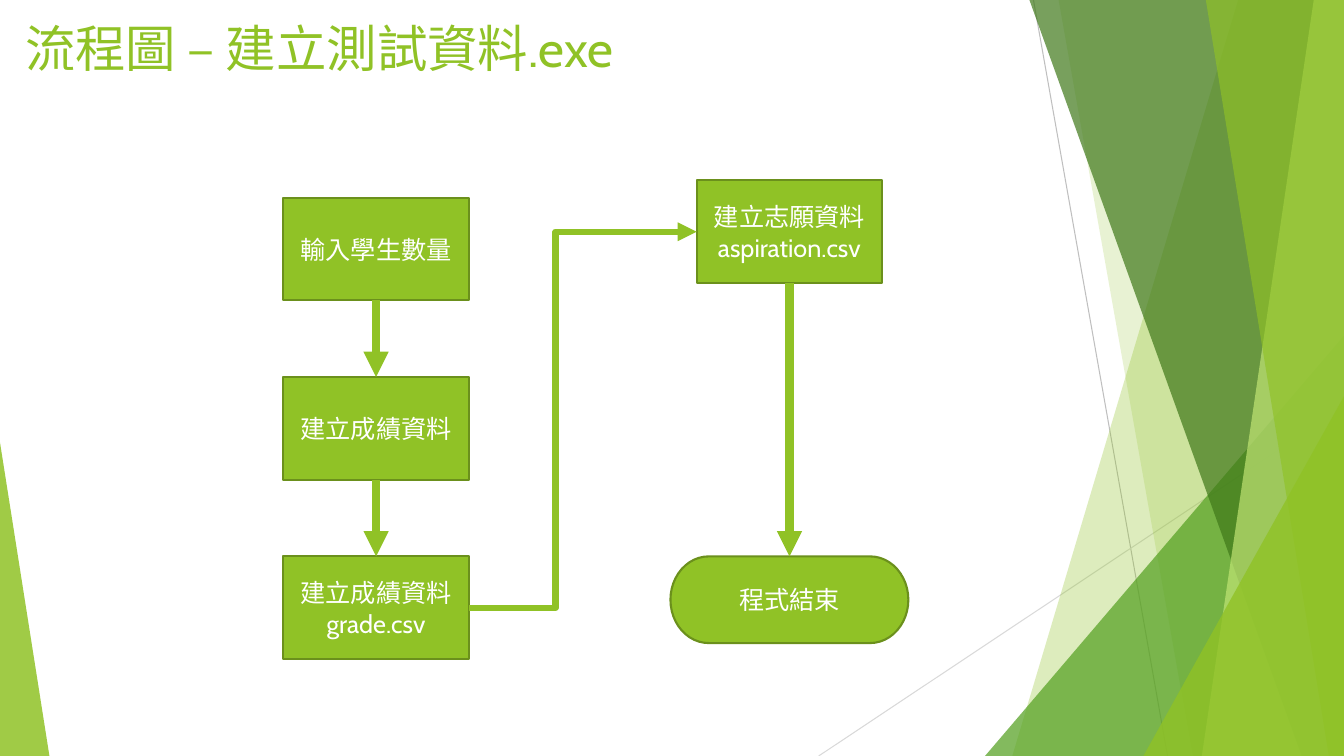
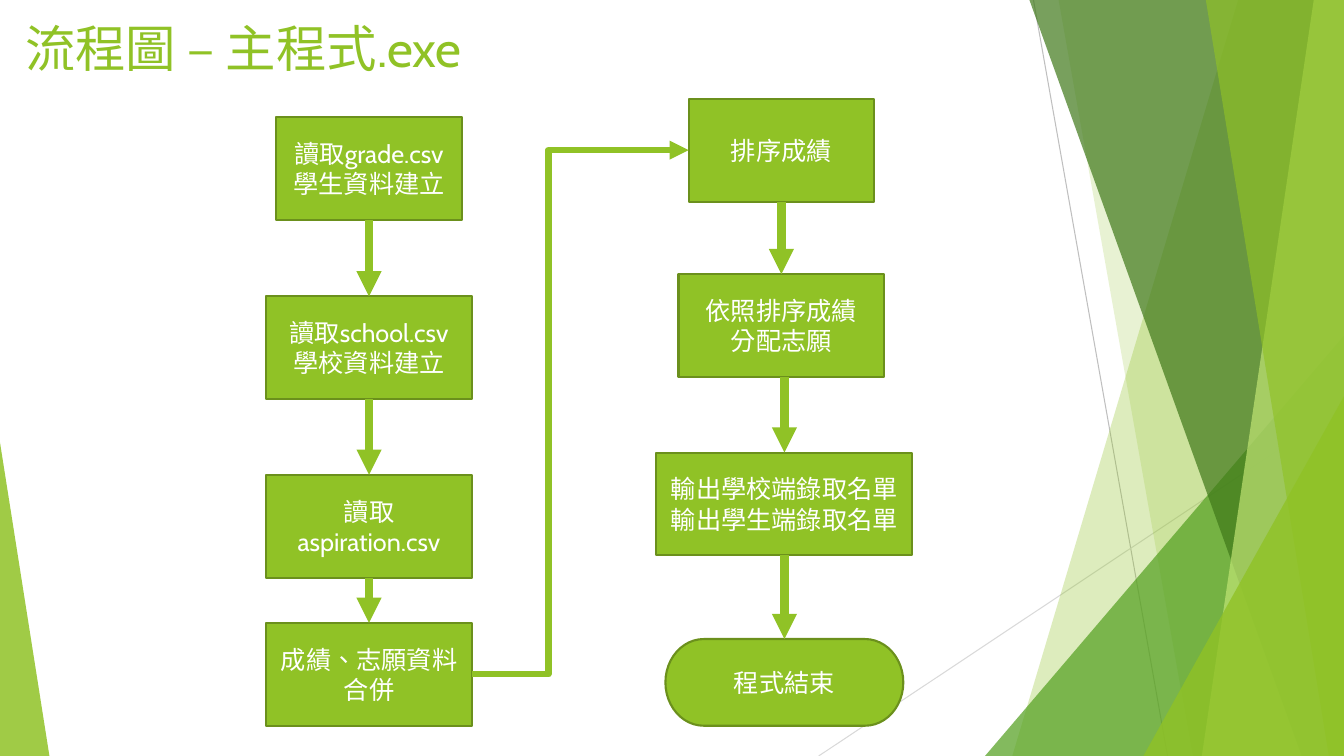
import dataclasses
import itertools
from typing import Any

import lxml.etree
import pptx
import pptx.dml.color
import pptx.enum.shapes
import pptx.enum.text
import pptx.oxml.ns
import pptx.util

PX = 9144  # EMU per px, 100 px to the inch
SLIDE_WIDTH, SLIDE_HEIGHT = 1333, 750
STEP_HEIGHT, END_HEIGHT = 102, 86
BOX_WIDTH, WIDE_BOX_WIDTH, END_WIDTH = 184, 204, 236
TOP, LEFT, BOTTOM, RIGHT = range(4)  # connection sites of a box

COLORS = {
    "green": "90C226", "outline": "6B901C", "leaf": "54A021", "forest": "3F7819",
    "lime": "C0E474", "white": "FFFFFF", "gray": "BFBFBF", "pale_gray": "D9D9D9",
}
LATIN_FONT, ASIAN_FONT = "Cabin", "Noto Sans CJK SC"

MsoShape = pptx.enum.shapes.MSO_SHAPE
MsoConnector = pptx.enum.shapes.MSO_CONNECTOR
TITLE_FRAME = {"word_wrap": True, "vertical_anchor": pptx.enum.text.MSO_ANCHOR.TOP}
STEP_FRAME = {"word_wrap": True, "vertical_anchor": pptx.enum.text.MSO_ANCHOR.MIDDLE}
TITLE_FONT = {"size": pptx.util.Pt(36), "name": LATIN_FONT}
STEP_FONT = {"size": pptx.util.Pt(18), "name": LATIN_FONT}


@dataclasses.dataclass(frozen=True)
class Facet:
    """A translucent four-sided band reaching the right edge."""
    top_x: int
    bottom_x: int
    color: str
    opacity: int


@dataclasses.dataclass(frozen=True)
class Corner:
    """A translucent triangle standing on the bottom edge."""
    left: int
    top: int
    width: int
    apex: int
    color: str
    opacity: int


@dataclasses.dataclass(frozen=True)
class Ray:
    start: tuple[int, int]
    end: tuple[int, int]
    color: str


@dataclasses.dataclass(frozen=True)
class Step:
    center: int
    top: int
    text: str
    width: int = BOX_WIDTH
    height: int = STEP_HEIGHT
    kind: Any = MsoShape.FLOWCHART_PROCESS


@dataclasses.dataclass(frozen=True)
class Flowchart:
    title: str
    columns: tuple[list[Step], list[Step]]
    trunk: int  # x of the upright line between the columns


RAYS = [
    Ray((1025, 0), (1158, 750), "gray"),
    Ray((1333, 403), (812, 750), "pale_gray"),
]
BACKDROP = [
    Facet(1228, 1004, "green", 30),
    Facet(1050, 1183, "green", 20),
    Corner(977, 333, 356, 1, "leaf", 72),
    Facet(1021, 1291, "forest", 70),
    Facet(1303, 1192, "lime", 70),
    Facet(1196, 1318, "green", 65),
    Corner(1134, 393, 199, 1, "green", 80),
    Corner(0, 439, 49, 0, "green", 85),
]


def end_step(center: int, top: int) -> Step:
    return Step(center, top, "程式結束", END_WIDTH, END_HEIGHT, MsoShape.FLOWCHART_TERMINATOR)


FLOWCHARTS = [
    Flowchart("流程圖 – 建立測試資料.exe", (
        [Step(373, 196 + 178 * row, text) for row, text in enumerate(
            ["輸入學生數量", "建立成績資料", "建立成績資料\ngrade.csv"])],
        [Step(783, 179, "建立志願資料\naspiration.csv"), end_step(783, 552)],
    ), 551),
    Flowchart("流程圖 – 主程式.exe", (
        [
            Step(366, 116, "讀取grade.csv\n學生資料建立"),
            Step(366, 294, "讀取school.csv\n學校資料建立", WIDE_BOX_WIDTH),
            Step(366, 471, "讀取aspiration.csv", WIDE_BOX_WIDTH),
            Step(366, 618, "成績、志願資料合併", WIDE_BOX_WIDTH),
        ],
        [
            Step(775, 98, "排序成績"),
            Step(775, 272, "依照排序成績\n分配志願", WIDE_BOX_WIDTH),
            Step(778, 449, "輸出學校端錄取名單\n輸出學生端錄取名單", 254),
            end_step(778, 634),
        ],
    ), 544),
]


def apply_format(target: Any, values: dict[str, Any]) -> None:
    for name, value in values.items():
        setattr(target, name, value)


def rgb(color: str) -> pptx.dml.color.RGBColor:
    return pptx.dml.color.RGBColor.from_string(COLORS[color])


def add_element(parent: Any, tag: str, **attributes: str) -> Any:
    return lxml.etree.SubElement(parent, pptx.oxml.ns.qn(tag), attributes)


def style_line(line: Any, color: str, points: float) -> None:
    line.color.rgb = rgb(color)
    line.width = pptx.util.Pt(points)


def write_text(shape: Any, text: str, frame: dict[str, Any], font: dict[str, Any],
               color: str, alignment: Any) -> None:
    text_frame = shape.text_frame
    apply_format(text_frame, frame)
    text_frame.text = text
    for paragraph in text_frame.paragraphs:
        paragraph.alignment = alignment
        for run in paragraph.runs:
            apply_format(run.font, font)
            run.font.color.rgb = rgb(color)
            properties = run._r.get_or_add_rPr()
            properties.set("lang", "zh-TW")
            add_element(properties, "a:ea", typeface=ASIAN_FONT)


def add_line(slide: Any, kind: Any, start: tuple[int, int], end: tuple[int, int],
             color: str, points: float, arrow: bool = False) -> Any:
    connector = slide.shapes.add_connector(kind, *(value * PX for value in start + end))
    style_line(connector.line, color, points)
    if arrow:
        add_element(connector.line._get_or_add_ln(), "a:tailEnd", type="triangle")
    add_element(connector._element.spPr, "a:effectLst")
    return connector


# Backdrop shared by the slides
def add_backdrop(slide: Any) -> None:
    for ray in RAYS:
        add_line(slide, MsoConnector.STRAIGHT, ray.start, ray.end, ray.color, 0.75)
    for part in BACKDROP:
        if isinstance(part, Facet):
            builder = slide.shapes.build_freeform(part.top_x, 0, scale=PX)
            builder.add_line_segments([
                (SLIDE_WIDTH, 0), (SLIDE_WIDTH, SLIDE_HEIGHT), (part.bottom_x, SLIDE_HEIGHT)])
            shape = builder.convert_to_shape()
        else:
            shape = slide.shapes.add_shape(
                MsoShape.ISOSCELES_TRIANGLE, part.left * PX, part.top * PX,
                part.width * PX, (SLIDE_HEIGHT - part.top) * PX)
            shape.adjustments[0] = part.apex
        shape.shadow.inherit = False
        shape.line.fill.background()
        shape.fill.solid()
        shape.fill.fore_color.rgb = rgb(part.color)
        color_element = shape._element.spPr.find(".//" + pptx.oxml.ns.qn("a:srgbClr"))
        add_element(color_element, "a:alpha", val=str(part.opacity * 1000))


def add_title(slide: Any, text: str) -> None:
    box = slide.shapes.add_textbox(15 * PX, 12 * PX, 940 * PX, 86 * PX)
    write_text(box, text, TITLE_FRAME, TITLE_FONT, "green", pptx.enum.text.PP_ALIGN.LEFT)


# Flowchart parts
def add_step(slide: Any, step: Step) -> Any:
    shape = slide.shapes.add_shape(
        step.kind, (step.center - step.width // 2) * PX, step.top * PX,
        step.width * PX, step.height * PX)
    shape.shadow.inherit = False
    shape.fill.solid()
    shape.fill.fore_color.rgb = rgb("green")
    style_line(shape.line, "outline", 1.5)
    write_text(shape, step.text, STEP_FRAME, STEP_FONT, "white", pptx.enum.text.PP_ALIGN.CENTER)
    return shape


def add_down_arrow(slide: Any, upper: Step, lower: Step, upper_box: Any, lower_box: Any) -> None:
    arrow = add_line(slide, MsoConnector.STRAIGHT, (lower.center, upper.top + upper.height),
                     (lower.center, lower.top), "green", 6, arrow=True)
    if upper.center == lower.center:
        arrow.begin_connect(upper_box, BOTTOM)
    arrow.end_connect(lower_box, TOP)


def add_column_link(slide: Any, last: Step, first: Step, last_box: Any, first_box: Any,
                    trunk: int) -> None:
    start = (last.center + last.width // 2, last.top + last.height // 2)
    end = (first.center - first.width // 2, first.top + first.height // 2)
    link = add_line(slide, MsoConnector.ELBOW, start, end, "green", 4.5, arrow=True)
    link.begin_connect(last_box, RIGHT)
    link.end_connect(first_box, LEFT)
    bend = round((trunk - start[0]) / (end[0] - start[0]) * 100000)
    geometry = link._element.spPr.find(pptx.oxml.ns.qn("a:prstGeom"))
    guides = geometry.find(pptx.oxml.ns.qn("a:avLst"))
    if guides is None:
        guides = add_element(geometry, "a:avLst")
    add_element(guides, "a:gd", name="adj1", fmla=f"val {bend}")


def add_flowchart(slide: Any, chart: Flowchart) -> None:
    columns = [[(step, add_step(slide, step)) for step in column] for column in chart.columns]
    for column in columns:
        for (upper, upper_box), (lower, lower_box) in itertools.pairwise(column):
            add_down_arrow(slide, upper, lower, upper_box, lower_box)
    (last, last_box), (first, first_box) = columns[0][-1], columns[1][0]
    add_column_link(slide, last, first, last_box, first_box, chart.trunk)


def main() -> None:
    presentation = pptx.Presentation()
    apply_format(presentation, {"slide_width": SLIDE_WIDTH * PX, "slide_height": SLIDE_HEIGHT * PX})
    for chart in FLOWCHARTS:
        slide = presentation.slides.add_slide(presentation.slide_layouts[6])
        add_backdrop(slide)
        add_title(slide, chart.title)
        add_flowchart(slide, chart)
    presentation.save("out.pptx")


if __name__ == "__main__":
    main()
